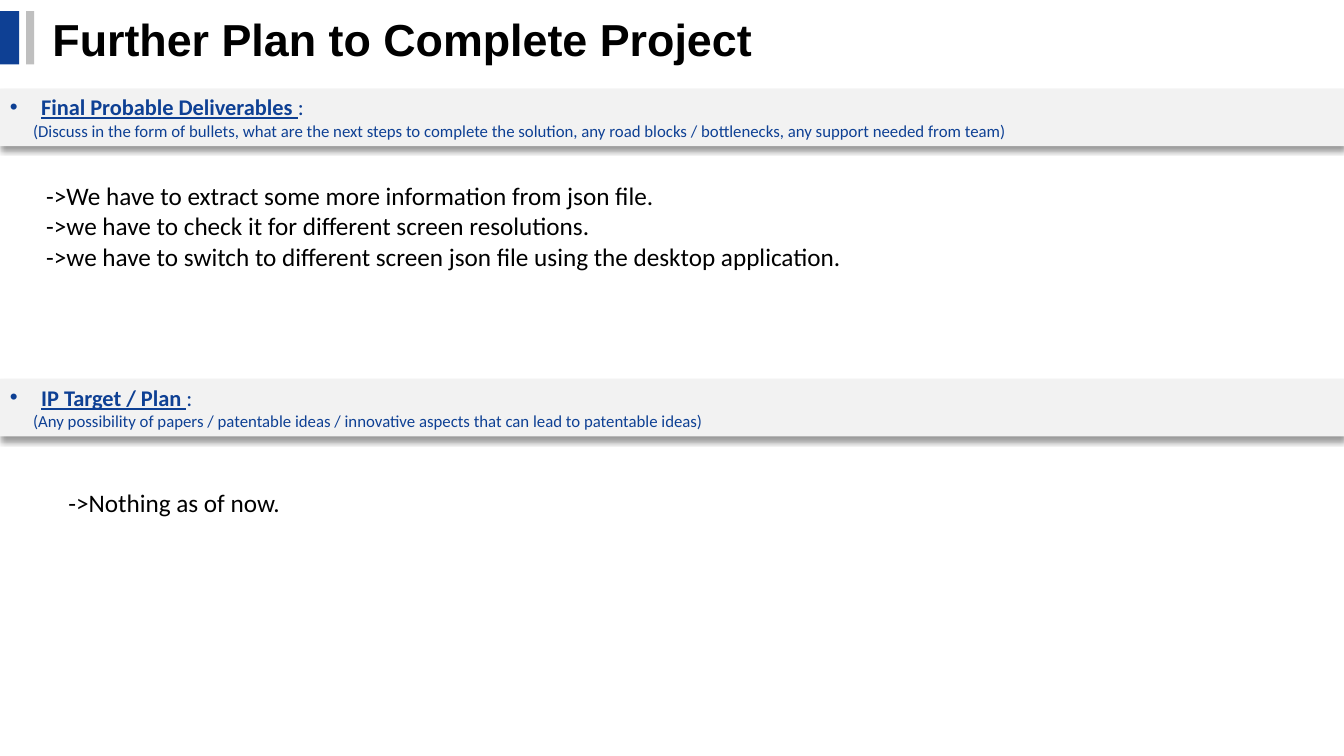
from lxml import etree
from pptx import Presentation
from pptx.dml.color import RGBColor
from pptx.enum.shapes import MSO_SHAPE
from pptx.enum.text import MSO_ANCHOR, MSO_AUTO_SIZE, PP_ALIGN
from pptx.oxml import parse_xml
from pptx.util import Inches, Pt

RECTANGLE = MSO_SHAPE.RECTANGLE
TOP, MIDDLE = MSO_ANCHOR.TOP, MSO_ANCHOR.MIDDLE
LEFT, JUSTIFY = PP_ALIGN.LEFT, PP_ALIGN.JUSTIFY
GROW = MSO_AUTO_SIZE.SHAPE_TO_FIT_TEXT

BLUE = RGBColor(0x0E, 0x40, 0x94)
GREY = RGBColor(0xBF, 0xBF, 0xBF)
PALE = RGBColor(0xF2, 0xF2, 0xF2)
BLACK = RGBColor(0, 0, 0)

DRAWING = "http://schemas.openxmlformats.org/drawingml/2006/main"
BAND_SHADOW = f"""<a:effectLst xmlns:a="{DRAWING}">
  <a:outerShdw blurRad="{Pt(4)}" dist="{Pt(3)}" dir="5400000" algn="t" rotWithShape="0">
    <a:srgbClr val="000000"><a:alpha val="40000"/></a:srgbClr>
  </a:outerShdw>
</a:effectLst>"""

SECTIONS = [
    {
        "band_top": 0.88,
        "heading": "Final Probable Deliverables ",
        "hint": "(Discuss in the form of bullets, what are the next steps to complete "
                "the solution, any road blocks / bottlenecks, any support needed from team)",
        "notes_box": (0.36, 1.69, 12.13, 1.11),
        "notes": [
            "->We have to extract some more information from json file.",
            "->we have to check it for different screen resolutions.",
            "->we have to switch to different screen json file using the desktop application.",
        ],
    },
    {
        "band_top": 3.76,
        "heading": "IP Target / Plan ",
        "hint": "(Any possibility of papers / patentable ideas / innovative aspects "
                "that can lead to patentable ideas)",
        "notes_box": (0.58, 4.73, 10.92, 0.5),
        "notes": ["->Nothing as of now."],
    },
]


def add_span(para, text, color, **formats):
    span = para.add_run()
    span.text = text
    span.font.color.rgb = color
    for name, value in formats.items():
        setattr(span.font, name, value)


def add_block(page, left, top, width, height, color):
    """Add a borderless filled rectangle, sized in inches."""
    block = page.shapes.add_shape(
        RECTANGLE, Inches(left), Inches(top), Inches(width), Inches(height))
    block.fill.solid()
    block.fill.fore_color.rgb = color
    block.line.fill.background()
    block.shadow.inherit = False
    return block


deck = Presentation()
deck.slide_width, deck.slide_height = Inches(13.33), Inches(7.5)
page = deck.slides.add_slide(deck.slide_layouts[5])

# Title with its two accent bars
title = page.shapes.title
title.left, title.top = Inches(0.42), Inches(0.06)
title.width, title.height = Inches(10.28), Inches(0.64)
frame = title.text_frame
frame.auto_size, frame.vertical_anchor, frame.word_wrap = GROW, MIDDLE, True
para = frame.paragraphs[0]
para.alignment = LEFT
add_span(para, "Further Plan to Complete Project", BLACK,
         name="Arial", size=Pt(32), bold=True)

for left, width, color in [(0, 0.19, BLUE), (0.26, 0.08, GREY)]:
    add_block(page, left, 0.11, width, 0.53, color)

for section in SECTIONS:
    # Heading band
    band = add_block(page, 0, section["band_top"], 13.33, 0.57, PALE)
    properties = band.fill._xPr
    properties.remove(properties.find(f"{{{DRAWING}}}effectLst"))
    properties.append(parse_xml(BAND_SHADOW))
    frame = band.text_frame
    frame.auto_size, frame.vertical_anchor, frame.word_wrap = GROW, TOP, True

    heading = frame.paragraphs[0]
    heading.alignment = JUSTIFY
    add_span(heading, section["heading"], BLUE,
             name="Calibri", size=Pt(16), bold=True, underline=True)
    add_span(heading, ": ", BLUE, name="Calibri", size=Pt(16))
    layout = heading._p.get_or_add_pPr()
    layout.set("marL", str(Inches(0.31)))
    layout.set("indent", str(Inches(-0.31)))
    bullet_color = etree.SubElement(layout, f"{{{DRAWING}}}buClr")
    etree.SubElement(bullet_color, f"{{{DRAWING}}}srgbClr", val=str(BLUE))
    etree.SubElement(layout, f"{{{DRAWING}}}buFont", typeface="Arial")
    etree.SubElement(layout, f"{{{DRAWING}}}buChar", char="•")

    hint = frame.add_paragraph()
    hint.alignment = JUSTIFY
    hint._p.get_or_add_pPr().set("marL", str(Inches(0.23)))
    add_span(hint, section["hint"], BLUE, name="Calibri", size=Pt(12))

    # Notes below the band
    box = page.shapes.add_textbox(*[Inches(length) for length in section["notes_box"]])
    frame = box.text_frame
    frame.auto_size, frame.word_wrap = GROW, True
    frame.margin_top = frame.margin_bottom = Inches(0.1)
    for index, note in enumerate(section["notes"]):
        para = frame.add_paragraph() if index else frame.paragraphs[0]
        add_span(para, note, BLACK, name="Calibri", size=Pt(18))

deck.save("out.pptx")
